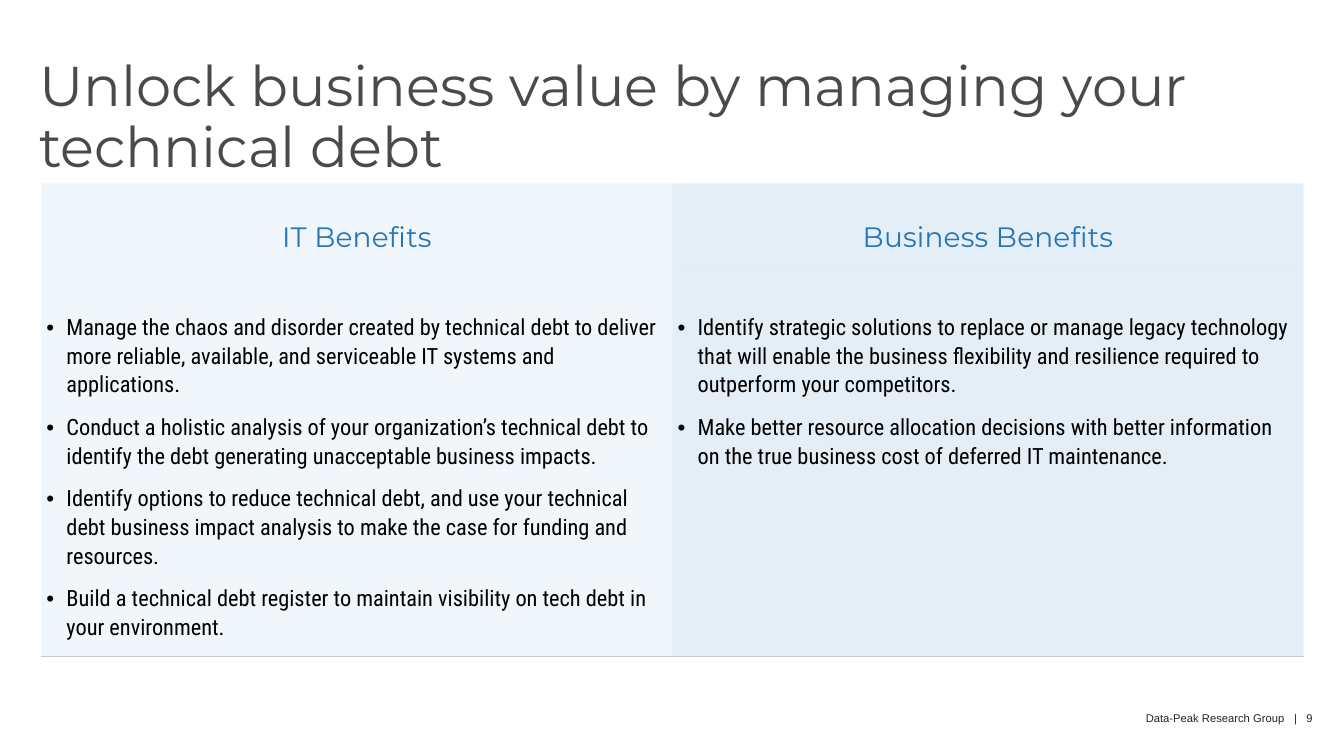
from dataclasses import dataclass

from lxml import etree
from pptx import Presentation
from pptx.dml.color import RGBColor
from pptx.enum.text import MSO_ANCHOR, MSO_AUTO_SIZE, PP_ALIGN
from pptx.oxml.ns import qn
from pptx.util import Pt

PX = 9144  # 100 px to the inch
LEFT, CENTER, RIGHT = PP_ALIGN.LEFT, PP_ALIGN.CENTER, PP_ALIGN.RIGHT
TOP, BOTTOM = MSO_ANCHOR.TOP, MSO_ANCHOR.BOTTOM
NO_FIT = MSO_AUTO_SIZE.NONE
TITLE_ONLY = 5
PLAIN_TABLE = "{2D5ABB26-0587-4C30-8999-92F81FD0307C}"


@dataclass(frozen=True)
class Style:
    """Font, size in points and colour of a piece of text."""
    font: str
    size: int
    color: str


@dataclass(frozen=True)
class Theme:
    title: Style = Style("Montserrat", 40, "4A4A4A")
    heading: Style = Style("Montserrat", 20, "2576B7")
    body: Style = Style("Roboto Condensed", 16, "000000")
    footer: Style = Style("Arial", 8, "242424")
    panel: str = "7CADD4"
    rule: str = "C9C9C9"


TITLE = "Unlock business value by managing your technical debt"

# Heading, panel opacity in percent, benefits
COLUMNS = [
    ("IT Benefits", 10, [
        "Manage the chaos and disorder created by technical debt to deliver "
        "more reliable, available, and serviceable IT systems and applications.",
        "Conduct a holistic analysis of your organization’s technical debt to "
        "identify the debt generating unacceptable business impacts.",
        "Identify options to reduce technical debt, and use your technical debt "
        "business impact analysis to make the case for funding and resources.",
        "Build a technical debt register to maintain visibility on tech debt in "
        "your environment.",
    ]),
    ("Business Benefits", 20, [
        "Identify strategic solutions to replace or manage legacy technology "
        "that will enable the business flexibility and resilience required to "
        "outperform your competitors.",
        "Make better resource allocation decisions with better information on "
        "the true business cost of deferred IT maintenance.",
    ]),
]

# Footer text with letter spacing in points
FOOTER = [("Data-Peak Research Group", 0), (" ", 4.5), ("|", 0), (" ", 4.5), ("9", 0)]


class Deck:
    def __init__(self, width, height, theme):
        self.prs = Presentation()
        self.prs.slide_width, self.prs.slide_height = width * PX, height * PX
        self.theme = theme
        self.s = self.prs.slides.add_slide(self.prs.slide_layouts[TITLE_ONLY])

    def run(self, p, text, style, spacing=0):
        r = p.add_run()
        r.text = text
        r.font.name, r.font.size = style.font, Pt(style.size)
        r.font.color.rgb = RGBColor.from_string(style.color)
        if spacing:
            r.font._element.set("spc", str(round(spacing * 100)))

    def frame(self, tf):
        tf.word_wrap, tf.auto_size, tf.vertical_anchor = True, NO_FIT, TOP
        tf.margin_left = tf.margin_top = tf.margin_right = tf.margin_bottom = 0
        return tf.paragraphs[0]

    def title(self, x, y, w, h, text):
        sp = self.s.shapes.title
        sp.left, sp.top, sp.width, sp.height = (v * PX for v in (x, y, w, h))
        p = self.frame(sp.text_frame)
        p.alignment, p.line_spacing = LEFT, 0.9
        self.run(p, text, self.theme.title)

    def footer(self, x, y, w, h, pieces):
        sp = self.s.shapes.add_textbox(*(v * PX for v in (x, y, w, h)))
        p = self.frame(sp.text_frame)
        p.alignment = RIGHT
        for text, spacing in pieces:
            self.run(p, text, self.theme.footer, spacing)

    def bullet(self, p, text):
        pPr = p._p.get_or_add_pPr()
        pPr.set("marL", str(20 * PX))
        pPr.set("indent", str(-20 * PX))
        etree.SubElement(pPr, qn("a:buFont"), typeface="Arial")
        etree.SubElement(pPr, qn("a:buChar"), char="•")
        p.line_spacing = 1.1
        self.run(p, text, self.theme.body)

    def cell(self, cell, opacity, margins, anchor):
        margins = [m * PX for m in margins]
        (cell.margin_left, cell.margin_top,
         cell.margin_right, cell.margin_bottom) = margins
        cell.vertical_anchor = anchor
        cell.fill.solid()
        cell.fill.fore_color.rgb = RGBColor.from_string(self.theme.panel)
        color = cell._tc.tcPr.find(".//" + qn("a:srgbClr"))
        etree.SubElement(color, qn("a:alpha"), val=str(opacity * 1000))
        return cell.text_frame

    def bottom_rule(self, cell):
        ln = etree.Element(qn("a:lnB"), w=str(Pt(1)))
        fill = etree.SubElement(ln, qn("a:solidFill"))
        etree.SubElement(fill, qn("a:srgbClr"), val=self.theme.rule)
        cell._tc.tcPr.insert(0, ln)

    def benefits(self, x, y, w, row_heights, columns):
        box = (x, y, w, sum(row_heights))
        table = self.s.shapes.add_table(
            len(row_heights), len(columns), *(v * PX for v in box)).table
        table.first_row = table.horz_banding = False
        table._tbl.tblPr.find(qn("a:tableStyleId")).text = PLAIN_TABLE
        for row, height in zip(table.rows, row_heights):
            row.height = height * PX

        for i, (heading, opacity, items) in enumerate(columns):
            # Heading cell
            tf = self.cell(table.cell(0, i), opacity, (12, 24, 12, 12), BOTTOM)
            tf.paragraphs[0].alignment = CENTER
            self.run(tf.paragraphs[0], heading, self.theme.heading, 0.1)

            # Bulleted list cell
            body = table.cell(1, i)
            tf = self.cell(body, opacity, (5, 45, 12, 16), TOP)
            for n, item in enumerate(items):
                p = tf.add_paragraph() if n else tf.paragraphs[0]
                self.bullet(p, item)
                if n:
                    p.space_before = Pt(10)
            self.bottom_rule(body)


def main():
    deck = Deck(1334, 750, Theme())
    deck.footer(963, 706, 340, 13, FOOTER)
    deck.title(39, 58, 1201, 124, TITLE)
    deck.benefits(41, 182, 1253, (83, 374), COLUMNS)
    deck.prs.save("out.pptx")


if __name__ == "__main__":
    main()
